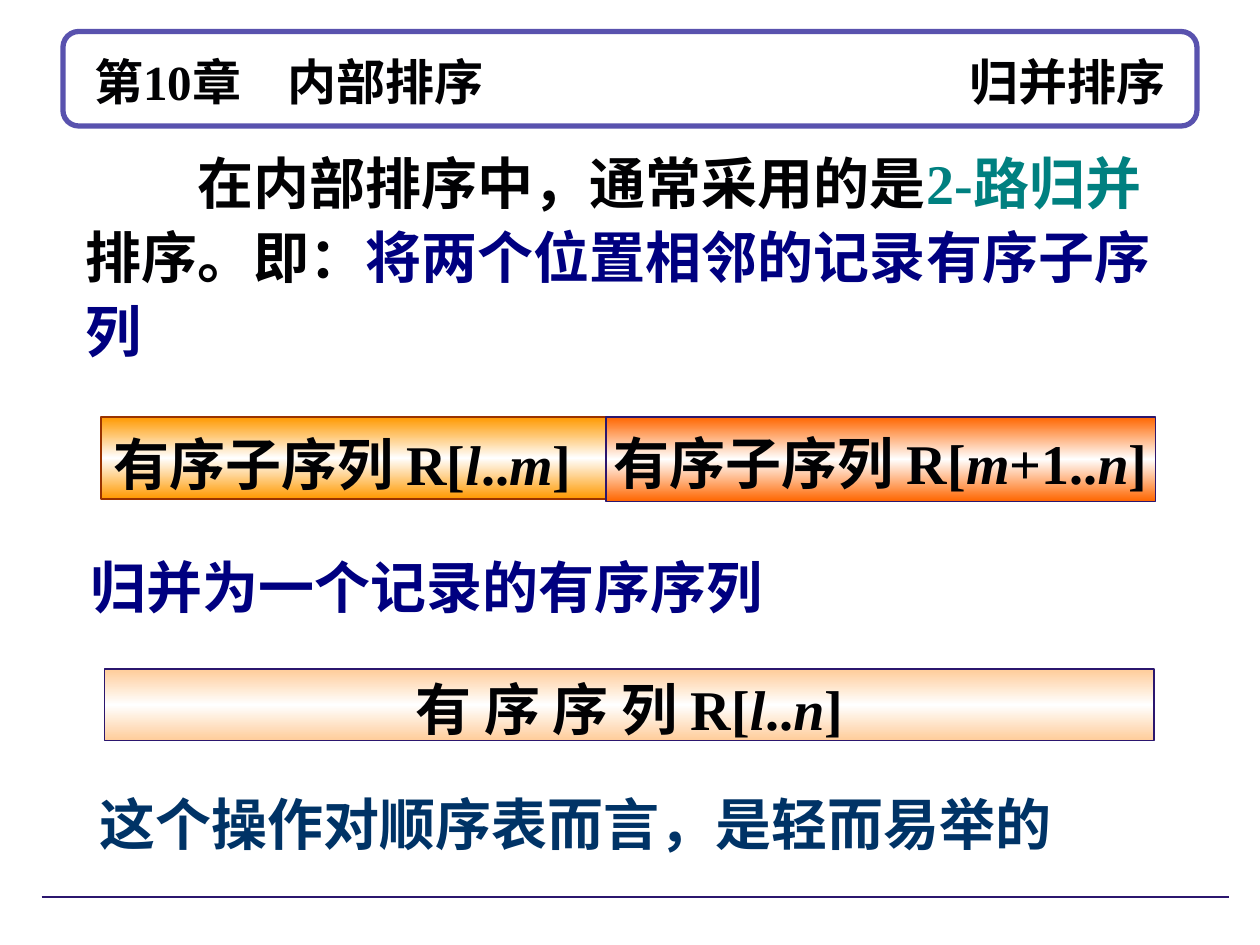
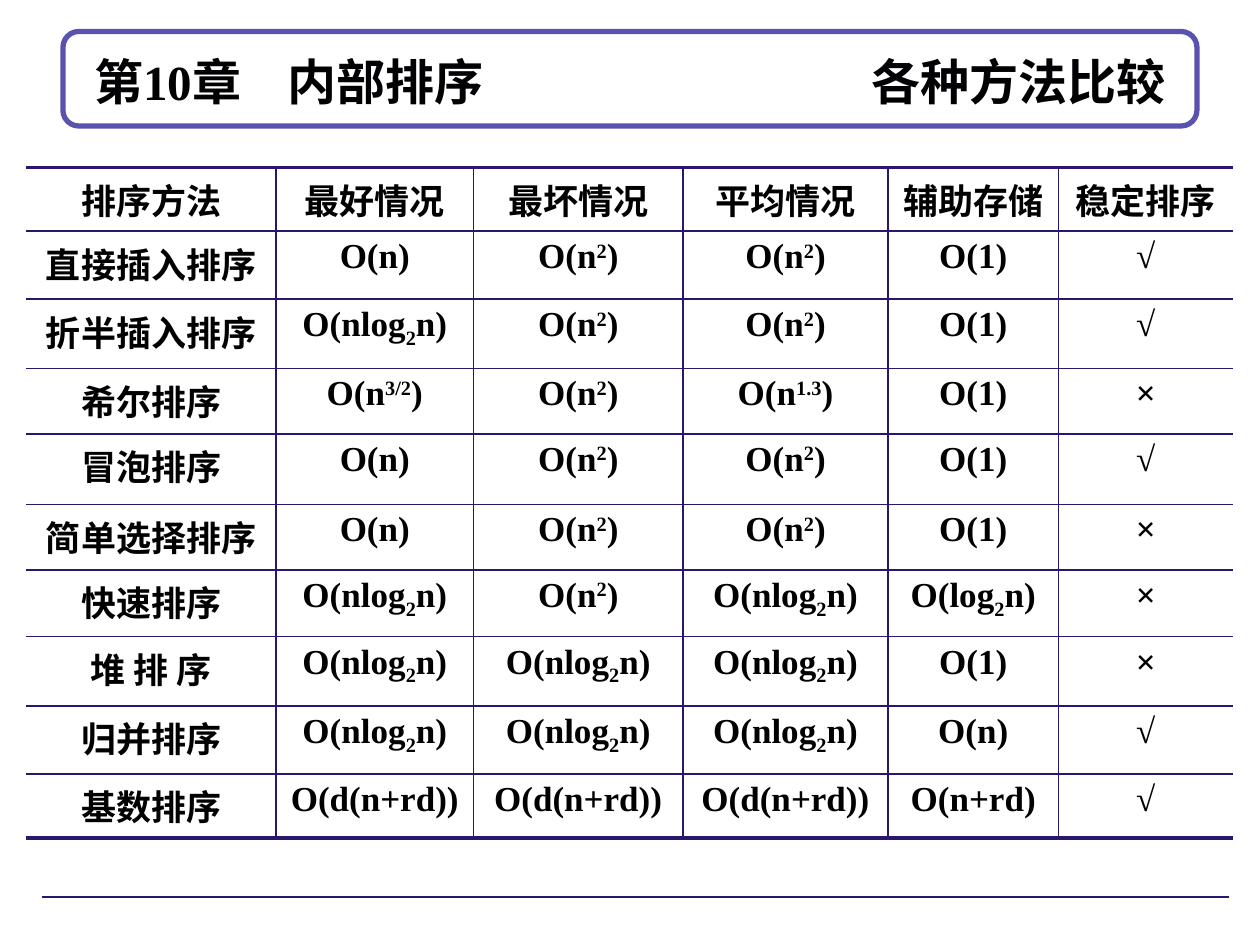
from dataclasses import dataclass

from lxml import etree
from pptx import Presentation
from pptx.dml.color import RGBColor
from pptx.enum.shapes import MSO_CONNECTOR, MSO_SHAPE
from pptx.enum.text import MSO_ANCHOR, MSO_AUTO_SIZE, PP_ALIGN
from pptx.oxml.ns import qn
from pptx.util import Inches, Pt

LEFT, CENTER = PP_ALIGN.LEFT, PP_ALIGN.CENTER
TOP, MIDDLE = MSO_ANCHOR.TOP, MSO_ANCHOR.MIDDLE
RECT, ROUNDED = MSO_SHAPE.RECTANGLE, MSO_SHAPE.ROUNDED_RECTANGLE


@dataclass(frozen=True)
class Theme:
    latin: str = "Times New Roman"
    heading: str = "Cabin"
    ink: str = "010103"
    black: str = "000000"
    white: str = "FFFFFF"
    teal: str = "008080"
    navy: str = "000080"
    slate: str = "003366"
    rule: str = "2B166E"
    frame: str = "5952AE"
    title_size: int = 28
    body_size: int = 32
    table_size: int = 20
    thin: float = 0.75
    medium: float = 1
    thick: float = 2.25
    frame_width: float = 3


THEME = Theme()

# Text is cut at "|"; a piece that opens with one of these marks takes its format.
MARKS = {
    "^": {"baseline": 30000},
    "_": {"baseline": -25000},
    "*": {"italic": True},
    "@": {"color": THEME.teal},
    "$": {"color": THEME.navy},
}

CHAPTER = ("第10章", "内部排序")
MERGE_TITLE = "归并排序"
COMPARE_TITLE = "各种方法比较"

# text, (left, top, width, height), colour, first-line indent in characters
STATEMENTS = [
    ("在内部排序中，通常采用的是|@2-路归并|排序。即：|$将两个位置相邻的记录有序子序列",
     (0.58, 1.08, 8.77, 1.84), THEME.ink, 2),
    ("归并为一个记录的有序序列", (0.62, 4.28, 5.59, 0.65), THEME.navy, 0),
    ("这个操作对顺序表而言，是轻而易举的", (0.69, 6.16, 7.83, 0.65), THEME.slate, 0),
]

# text, (left, top, width, height), edge tint, line colour, line width, layout
LEADING = {"align": LEFT, "anchor": TOP, "wrap": True}
CENTERED = {"align": CENTER, "anchor": MIDDLE, "wrap": False}
SEQUENCES = [
    ("有 序 序 列 R[|*l|..|*n|]", (0.83, 5.31, 8.33, 0.57),
     "FFCC99", THEME.rule, THEME.thin, CENTERED),
    ("有序子序列 R[|*l|..|*m|]", (0.8, 3.31, 4.01, 0.65),
     "FF9900", "993300", THEME.medium, LEADING),
    ("有序子序列 R[|*m|+1..|*n|]", (4.81, 3.31, 4.36, 0.67),
     "FF6600", THEME.rule, THEME.thin, CENTERED),
]

LINEAR, SQUARE, CONSTANT = "O(n)", "O(n|^2|)", "O(1)"
N_LOG_N, RADIX = "O(nlog|_2|n)", "O(d(n+rd))"
YES, NO = "√", "×"
COMPARISON = [
    ("排序方法", "最好情况", "最坏情况", "平均情况", "辅助存储", "稳定排序"),
    ("直接插入排序", LINEAR, SQUARE, SQUARE, CONSTANT, YES),
    ("折半插入排序", N_LOG_N, SQUARE, SQUARE, CONSTANT, YES),
    ("希尔排序", "O(n|^3/2|)", SQUARE, "O(n|^1.3|)", CONSTANT, NO),
    ("冒泡排序", LINEAR, SQUARE, SQUARE, CONSTANT, YES),
    ("简单选择排序", LINEAR, SQUARE, SQUARE, CONSTANT, NO),
    ("快速排序", N_LOG_N, SQUARE, N_LOG_N, "O(log|_2|n)", NO),
    ("堆 排 序", N_LOG_N, N_LOG_N, N_LOG_N, CONSTANT, NO),
    ("归并排序", N_LOG_N, N_LOG_N, N_LOG_N, LINEAR, YES),
    ("基数排序", RADIX, RADIX, RADIX, "O(n+rd)", YES),
]
TABLE_AT = (0.21, 1.33)
COLUMN_WIDTHS = (1.98, 1.57, 1.66, 1.63, 1.35, 1.39)
ROW_HEIGHTS = (0.49, 0.54, 0.55, 0.52, 0.56, 0.52, 0.53, 0.55, 0.54, 0.51)


def inches(values):
    return [Inches(value) for value in values]


def rgb(value):
    return RGBColor.from_string(value)


def write(para, text, size, color, font=THEME.latin):
    """Fill a paragraph with bold text, formatting the marked pieces."""
    for piece in text.split("|"):
        mark = MARKS.get(piece[0], {})
        span = para.add_run()
        span.text = piece[1:] if mark else piece
        look = {"name": font, "size": Pt(size), "bold": True,
                "italic": mark.get("italic", False)}
        for name, value in look.items():
            setattr(span.font, name, value)
        span.font.color.rgb = rgb(mark.get("color", color))
        if "baseline" in mark:
            span._r.get_or_add_rPr().set("baseline", str(mark["baseline"]))


def set_line(shape, color, width):
    shape.line.color.rgb = rgb(color)
    shape.line.width = Pt(width)


def fill_sheen(shape, tint):
    """Vertical gradient: tint at both edges, white in the middle."""
    gradient = etree.Element(qn("a:gradFill"), rotWithShape="1")
    stops = etree.SubElement(gradient, qn("a:gsLst"))
    for position, color in ((0, tint), (50000, THEME.white), (100000, tint)):
        stop = etree.SubElement(stops, qn("a:gs"), pos=str(position))
        etree.SubElement(stop, qn("a:srgbClr"), val=color)
    etree.SubElement(gradient, qn("a:lin"), ang="5400000", scaled="1")
    shape.element.spPr.insert(2, gradient)


def set_frame(box, align=LEFT, anchor=TOP, wrap=True):
    """Lay out a text frame and return its first paragraph."""
    frame = box.text_frame
    settings = {"word_wrap": wrap, "vertical_anchor": anchor, "auto_size": MSO_AUTO_SIZE.NONE}
    for name, value in settings.items():
        setattr(frame, name, value)
    para = frame.paragraphs[0]
    para.alignment = align
    return para


def decorate(layout, page):
    """Draw the title frame and footer rule, then hand them to the layout."""
    frame = page.shapes.add_shape(ROUNDED, *inches((0.5, 0.25, 9, 0.75)))
    frame.shadow.inherit = False
    frame.fill.solid()
    frame.fill.fore_color.rgb = rgb(THEME.white)
    set_line(frame, THEME.frame, THEME.frame_width)
    footer = page.shapes.add_connector(MSO_CONNECTOR.STRAIGHT, *inches((0.33, 7.12, 9.75, 7.12)))
    set_line(footer, THEME.rule, THEME.thin)
    etree.SubElement(footer.element.spPr, qn("a:effectLst"))
    for shape in (frame, footer):
        layout.shapes.element.append(shape.element)


def add_title(page, topic):
    title = page.shapes.title
    title.left, title.top, title.width, title.height = inches((0.5, 0.33, 9, 0.62))
    para = set_frame(title, anchor=MIDDLE)
    title.text_frame.margin_left = Inches(0.25)
    tabs = etree.SubElement(para._p.get_or_add_pPr(), qn("a:tabLst"))
    for position, side in ((1.53, "l"), (8.5, "r")):
        etree.SubElement(tabs, qn("a:tab"), pos=str(Inches(position)), algn=side)
    write(para, "\t".join((*CHAPTER, topic)), THEME.title_size, THEME.ink)


def add_statement(page, text, place, color, indent):
    box = page.shapes.add_textbox(*inches(place))
    para = set_frame(box)
    para.line_spacing = 1.1
    if indent:
        para._p.get_or_add_pPr().set("indent", str(Pt(indent * THEME.body_size)))
    write(para, text, THEME.body_size, color)


def add_sequence(page, text, place, tint, edge, width, layout):
    bar = page.shapes.add_shape(RECT, *inches(place))
    bar.shadow.inherit = False
    fill_sheen(bar, tint)
    set_line(bar, edge, width)
    para = set_frame(bar, **layout)
    para.line_spacing = 1.1
    write(para, text, THEME.body_size, THEME.ink)


def set_borders(cell, widths):
    """Rule each side of a cell; a width of 0 leaves that side open."""
    properties = cell._tc.get_or_add_tcPr()
    for index, (side, width) in enumerate(widths.items()):
        line = etree.Element(qn(f"a:ln{side}"), w=str(Pt(width)))
        if width:
            paint = etree.SubElement(line, qn("a:solidFill"))
            etree.SubElement(paint, qn("a:srgbClr"), val=THEME.rule)
        else:
            etree.SubElement(line, qn("a:noFill"))
        properties.insert(index, line)


def add_comparison(page):
    last_row, last_column = len(ROW_HEIGHTS) - 1, len(COLUMN_WIDTHS) - 1
    size = (sum(COLUMN_WIDTHS), sum(ROW_HEIGHTS))
    table = page.shapes.add_table(last_row + 1, last_column + 1,
                                  *inches(TABLE_AT + size)).table
    table.first_row = table.horz_banding = False
    for column, width in zip(table.columns, COLUMN_WIDTHS):
        column.width = Inches(width)
    for r, (row, height) in enumerate(zip(table.rows, ROW_HEIGHTS)):
        row.height = Inches(height)
        for c, cell in enumerate(row.cells):
            cell.fill.background()
            para = cell.text_frame.paragraphs[0]
            para.alignment = CENTER
            font = THEME.heading if r == 0 or c == 0 else THEME.latin
            write(para, COMPARISON[r][c], THEME.table_size, THEME.black, font)
            set_borders(cell, {
                "L": THEME.medium if c else 0,
                "R": THEME.medium if c < last_column else 0,
                "T": THEME.medium if r else THEME.thick,
                "B": THEME.medium if r < last_row else THEME.thick,
            })


def main():
    deck = Presentation()
    deck.slide_width, deck.slide_height = inches((10, 7.5))
    layout = deck.slide_layouts.get_by_name("Title Only")

    merge_page = deck.slides.add_slide(layout)
    decorate(layout, merge_page)
    add_title(merge_page, MERGE_TITLE)
    for statement in STATEMENTS:
        add_statement(merge_page, *statement)
    for sequence in SEQUENCES:
        add_sequence(merge_page, *sequence)

    compare_page = deck.slides.add_slide(layout)
    add_title(compare_page, COMPARE_TITLE)
    add_comparison(compare_page)

    deck.save("out.pptx")


if __name__ == "__main__":
    main()
